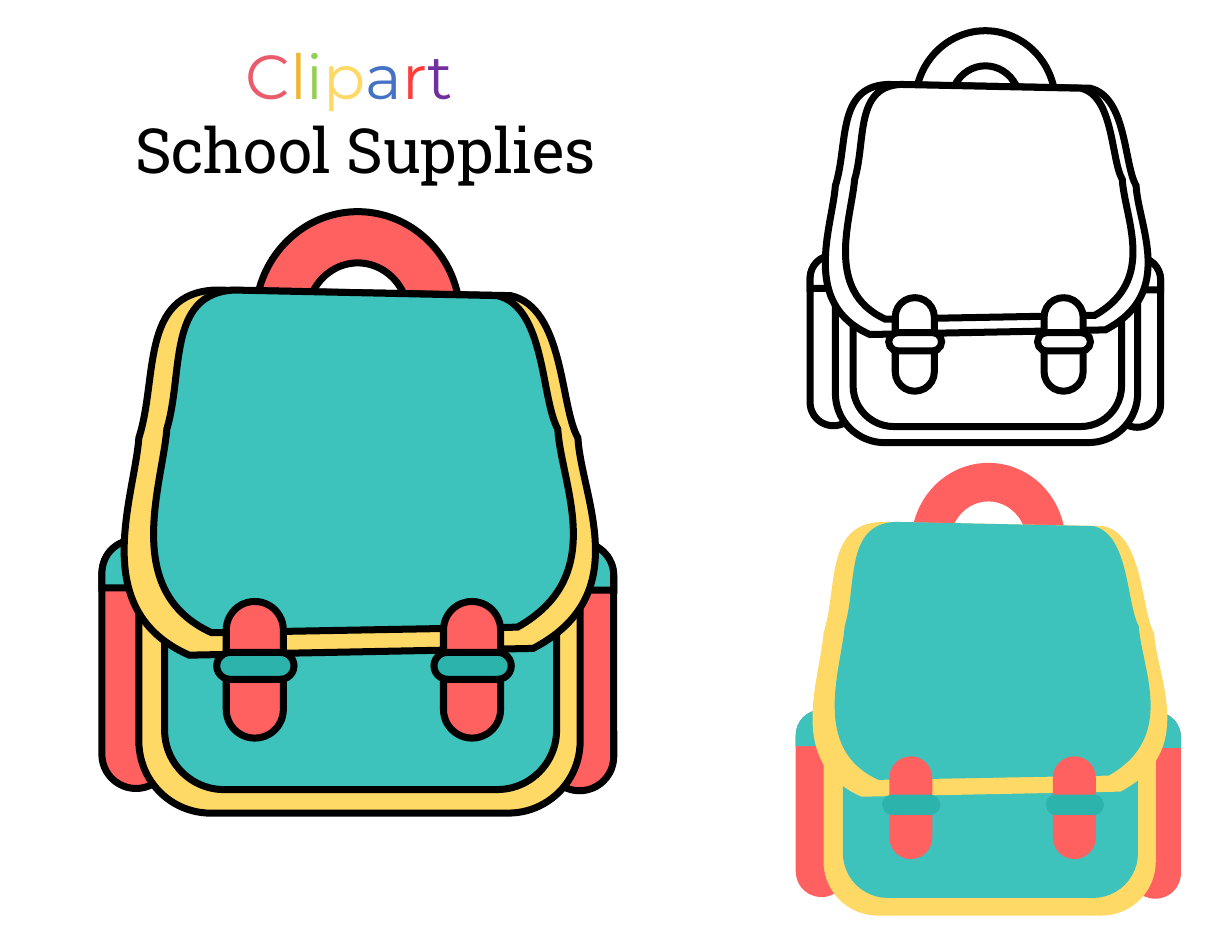
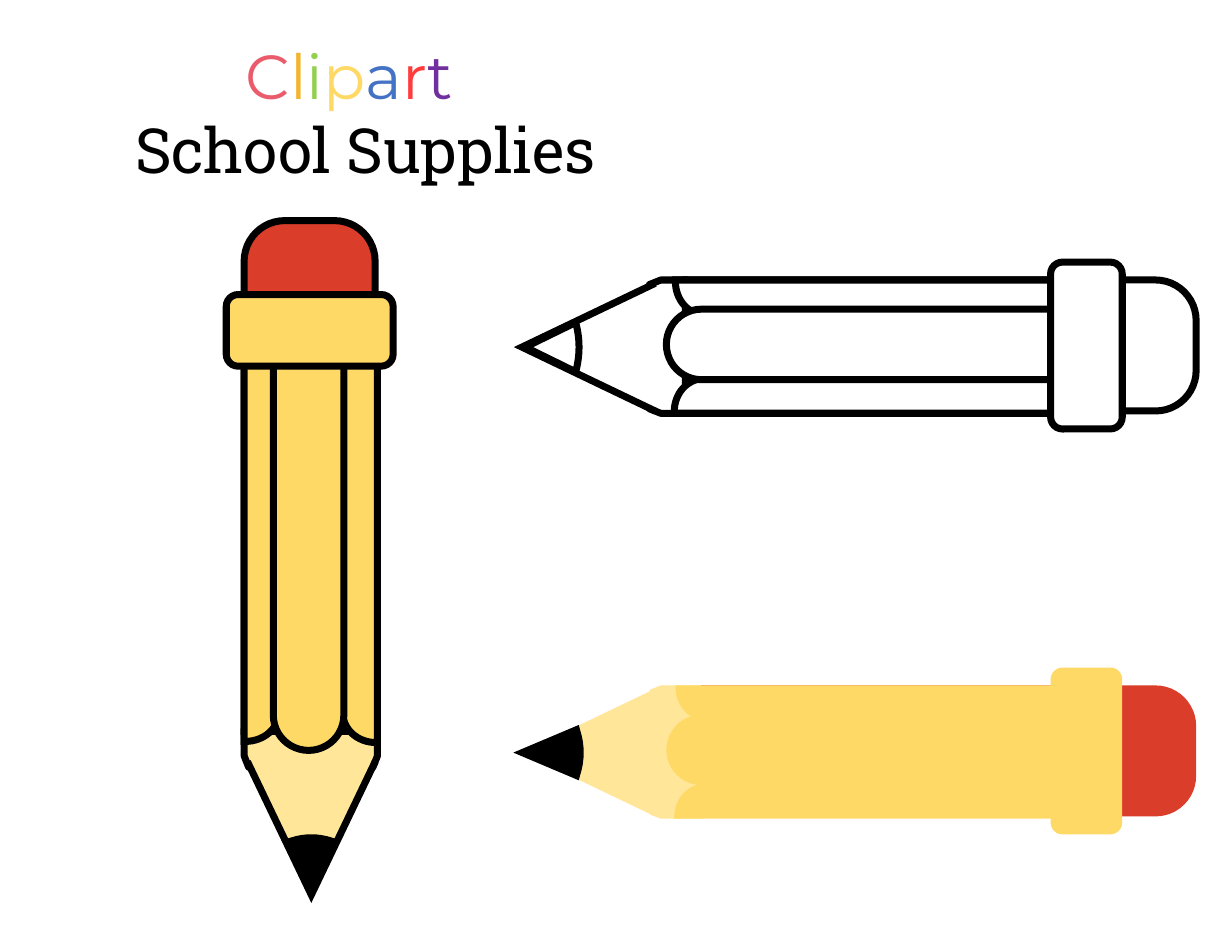
"""Build two clip art slides of school supplies: a backpack and a pencil."""
from dataclasses import dataclass
from typing import Any

from lxml.etree import SubElement
from pptx import Presentation
from pptx.dml.color import RGBColor
from pptx.enum.shapes import MSO_SHAPE as Preset
from pptx.enum.text import PP_ALIGN as Align
from pptx.oxml.ns import qn
from pptx.util import Inches, Pt

BLACK = RGBColor(0x00, 0x00, 0x00)
WHITE = RGBColor(0xFF, 0xFF, 0xFF)
CORAL = RGBColor(0xFF, 0x61, 0x61)
TEAL = RGBColor(0x3E, 0xC2, 0xBC)
DARK_TEAL = RGBColor(0x2C, 0xB4, 0xAC)
YELLOW = RGBColor(0xFF, 0xD9, 0x66)
WOOD = RGBColor(0xFF, 0xE6, 0x99)
RED = RGBColor(0xDA, 0x3D, 0x29)
RAINBOW = [
    RGBColor(0xEA, 0x5B, 0x6B),
    RGBColor(0xF3, 0xB4, 0x2E),
    RGBColor(0x92, 0xD0, 0x50),
    YELLOW,
    RGBColor(0x44, 0x72, 0xC4),
    RGBColor(0xFF, 0x3B, 0x3B),
    RGBColor(0x70, 0x30, 0xA0),
]

OUTLINE = 4.5
CURVE_STEPS = 16
PACK_WIDTH = 4.57
TITLE_INDENT = 0.3

PACK_COLOURS = {"strap": CORAL, "trim": YELLOW, "cloth": TEAL, "buckle": DARK_TEAL}
PENCIL_COLOURS = {"wood": WOOD, "eraser": RED, "paint": YELLOW, "lead": BLACK}

FLAP_TRIM = [
    (1.92, 2.59), (4.56, 2.64),
    (5.04, 2.75, 5, 3.63, 5.16, 3.91), (5.19, 4.44, 5.68, 5.31, 4.76, 5.79),
    (1.69, 5.85),
    (0.78, 5.45, 1.2, 4.45, 1.24, 3.91), (1.41, 3.38, 1.25, 2.62, 1.92, 2.59),
]
FLAP = [
    (2.09, 2.59), (4.44, 2.64),
    (4.87, 2.74, 4.83, 3.56, 4.98, 3.83), (5.01, 4.33, 5.44, 5.14, 4.62, 5.6),
    (1.89, 5.65),
    (1.08, 5.28, 1.45, 4.33, 1.49, 3.83), (1.64, 3.33, 1.49, 2.62, 2.09, 2.59),
]
LEFT_FACET = [
    (2.18, 2.81), (2.49, 2.81), (2.49, 6.36),
    (2.49, 6.5, 2.36, 6.62, 2.19, 6.62), (2.18, 6.62),
]
RIGHT_FACET = [
    (3.37, 2.69), (3.06, 2.69), (3.06, 6.36),
    (3.06, 6.51, 3.19, 6.63, 3.36, 6.63), (3.37, 6.63),
]


def paint(shape, fill, outline, join="miter"):
    """Give a shape a flat fill and a black outline of some points, or none."""
    shape.shadow.inherit = False
    shape.fill.solid()
    shape.fill.fore_color.rgb = fill
    if outline:
        shape.line.color.rgb = BLACK
        shape.line.width = Pt(outline)
        SubElement(shape.line._get_or_add_ln(), qn(f"a:{join}"))
    else:
        shape.line.fill.background()


def pairs(step):
    """Split a path step into its points."""
    return list(zip(step[::2], step[1::2]))


def flatten(path):
    """Turn a path of points and cubic curves into plain points."""
    points = [path[0]]
    for step in path[1:]:
        if len(step) == 2:
            points.append(step)
            continue
        knots = [points[-1], *pairs(step)]
        for index in range(1, CURVE_STEPS + 1):
            t = index / CURVE_STEPS
            weights = [(1 - t) ** 3, 3 * t * (1 - t) ** 2, 3 * t * t * (1 - t), t ** 3]
            points.append(tuple(
                sum(w * knot[axis] for w, knot in zip(weights, knots)) for axis in (0, 1)
            ))
    return points


@dataclass
class Drawing:
    """A group that moves, scales and may lay on its side what is drawn in it."""
    group: Any
    x: float = 0
    y: float = 0
    scale: float = 1
    lying: bool = False
    outline: float = OUTLINE

    def place(self, x, y):
        """Return where a point of the drawing falls on the slide, in inches."""
        if self.lying:
            x, y = -y, x
        return self.x + x * self.scale, self.y + y * self.scale

    def box(self, preset, left, top, width, height, fill, adjust=(), turn=0):
        """Add a preset shape."""
        centre_x, centre_y = self.place(left + width / 2, top + height / 2)
        width, height = width * self.scale, height * self.scale
        shape = self.group.shapes.add_shape(
            preset, Inches(centre_x - width / 2), Inches(centre_y - height / 2),
            Inches(width), Inches(height))
        for index, value in enumerate(adjust):
            shape.adjustments[index] = value
        shape.rotation = (turn + 90 * self.lying) % 360
        paint(shape, fill, self.outline)

    def outlined(self, path, fill, close=True, outline=None, join="miter"):
        """Add a free outline sized by its true extent and drawn with real curves."""
        points = [tuple(Inches(v) for v in self.place(*p)) for p in flatten(path)]
        builder = self.group.shapes.build_freeform(*points[0])
        builder.add_line_segments(points[1:], close=close)
        shape = builder.convert_to_shape()
        self.redraw(shape, path, close)
        paint(shape, fill, outline or self.outline, join)

    def redraw(self, shape, path, close):
        """Write the lines and curves of a path into a free shape."""
        track = next(shape._element.iter(qn("a:path")))
        for child in list(track):
            track.remove(child)
        for index, step in enumerate(path):
            kind = "cubicBezTo" if len(step) == 6 else "lnTo" if index else "moveTo"
            segment = SubElement(track, qn(f"a:{kind}"))
            for point in pairs(step):
                x, y = self.place(*point)
                SubElement(segment, qn("a:pt"),
                           x=str(Inches(x) - shape.left), y=str(Inches(y) - shape.top))
        if close:
            SubElement(track, qn("a:close"))


def draw_pocket(drawing, left, top, colours):
    """Draw a side pocket with its rounded cap."""
    right, middle = left + 0.61, left + 0.3
    shoulder, rim = top + 0.3, top + 0.43
    drawing.box(Preset.ROUNDED_RECTANGLE, left, top, 0.61, 2.22, colours["strap"], [0.5])
    cap = [
        (middle, top), (middle + 0.17, top, right, top + 0.13, right, shoulder),
        (right, rim), (left, rim), (left, shoulder),
        (left, top + 0.13, middle - 0.17, top, middle, top),
    ]
    drawing.outlined(cap, colours["cloth"])


def draw_strap(drawing, left, colours):
    """Draw a front strap and the buckle across it."""
    drawing.box(Preset.ROUNDED_RECTANGLE, left, 5.37, 0.51, 1.22, colours["strap"], [0.5])
    drawing.box(Preset.ROUNDED_RECTANGLE, left + 0.14, 5.6, 0.24, 0.69,
                colours["buckle"], [0.5], turn=270)


def draw_backpack(drawing, colours):
    """Draw a backpack from the back pockets to the front straps."""
    draw_pocket(drawing, 4.87, 4.84, colours)
    draw_pocket(drawing, 0.91, 4.82, colours)
    drawing.box(Preset.BLOCK_ARC, 2.28, 1.89, 1.83, 1.9, colours["strap"])
    drawing.box(Preset.ROUNDED_RECTANGLE, 1.24, 4.47, 3.94, 2.79, colours["trim"], [0.23])
    drawing.box(Preset.ROUNDED_RECTANGLE, 1.47, 4.74, 3.5, 2.31, colours["cloth"], [0.23])
    drawing.outlined(FLAP_TRIM, colours["trim"])
    drawing.outlined(FLAP, colours["cloth"])
    for left in (3.96, 2.02):
        draw_strap(drawing, left, colours)


def draw_pencil(drawing, colours, wood_top=6.51, lead_half=0.18, lead_outline=OUTLINE):
    """Draw a pencil that points down, or left when it is lying."""
    collar = [(2.18, wood_top), (3.37, wood_top), (3.37, 6.75),
              (3.33, 6.85), (2.22, 6.85), (2.18, 6.75)]
    drawing.outlined(collar, colours["wood"], join="round")
    drawing.outlined([(3.35, 6.8), (2.78, 7.99), (2.21, 6.8)], colours["wood"], close=False)
    drawing.box(Preset.ROUND_2_SAME_RECTANGLE, 2.18, 1.97, 1.17, wood_top - 1.95,
                colours["eraser"], [0.31, 0])
    drawing.outlined(LEFT_FACET, colours["paint"])
    drawing.outlined(RIGHT_FACET, colours["paint"])
    left, right, bend = 2.78 - lead_half, 2.78 + lead_half, lead_half / 3
    lead = [(left, 7.51), (2.78 - bend, 7.47, 2.78 + bend, 7.47, right, 7.51), (2.78, 7.96)]
    drawing.outlined(lead, colours["lead"], outline=lead_outline)
    drawing.box(Preset.ROUND_2_SAME_RECTANGLE, 2.44, 2.76, 0.63, 3.94,
                colours["paint"], [0.5, 0], turn=180)
    drawing.box(Preset.ROUNDED_RECTANGLE, 2.02, 2.63, 1.49, 0.64, colours["paint"])


def add_title(slide):
    """Add the two-line title with its rainbow first word."""
    box = slide.shapes.add_textbox(
        Inches(0.31), Inches(0.28), Inches(5.91 - TITLE_INDENT), Inches(1.45))
    frame = box.text_frame
    frame.word_wrap = True
    rainbow = frame.paragraphs[0]
    for letter, colour in zip("Clipart", RAINBOW):
        run = rainbow.add_run()
        run.text = letter
        run.font.color.rgb = colour
    topic = frame.add_paragraph()
    topic.text = "School Supplies"
    topic._p.get_or_add_pPr().set("marL", str(Inches(TITLE_INDENT)))
    topic.font.color.rgb = BLACK
    for line, face in ((rainbow, "Montserrat"), (topic, "Roboto Slab")):
        line.alignment = Align.CENTER
        line.font.name = face
        line.font.size = Pt(40)


def add_page(deck):
    """Add a blank white slide."""
    slide = deck.slides.add_slide(deck.slide_layouts[6])
    page = slide.shapes.add_shape(Preset.RECTANGLE, 0, 0, deck.slide_width, deck.slide_height)
    paint(page, WHITE, 0)
    return slide


def add_backpack_slide(deck):
    """Add the backpack in colour, as line art and without outlines."""
    slide = add_page(deck)
    new_group = slide.shapes.add_group_shape
    draw_backpack(Drawing(new_group()), PACK_COLOURS)
    draw_backpack(Drawing(new_group(), 6.61, -1.02, 3.13 / PACK_WIDTH),
                  dict.fromkeys(PACK_COLOURS, WHITE))
    draw_backpack(Drawing(new_group(), 6.42, 2.71, 3.44 / PACK_WIDTH, outline=0), PACK_COLOURS)
    add_title(slide)


def add_pencil_slide(deck):
    """Add the pencil in colour, as line art and without outlines."""
    slide = add_page(deck)
    add_title(slide)
    new_group = slide.shapes.add_group_shape
    draw_pencil(Drawing(new_group()), PENCIL_COLOURS)
    draw_pencil(Drawing(new_group(), 12.65, 0.32, lying=True),
                dict.fromkeys(PENCIL_COLOURS, WHITE), lead_half=0.22)
    draw_pencil(Drawing(new_group(), 12.65, 3.94, lying=True, outline=0), PENCIL_COLOURS,
                wood_top=6.37, lead_half=0.19, lead_outline=6)


def main():
    """Build and save the deck."""
    deck = Presentation()
    deck.slide_width, deck.slide_height = Inches(11), Inches(8.5)
    add_backpack_slide(deck)
    add_pencil_slide(deck)
    deck.save("out.pptx")


if __name__ == "__main__":
    main()
